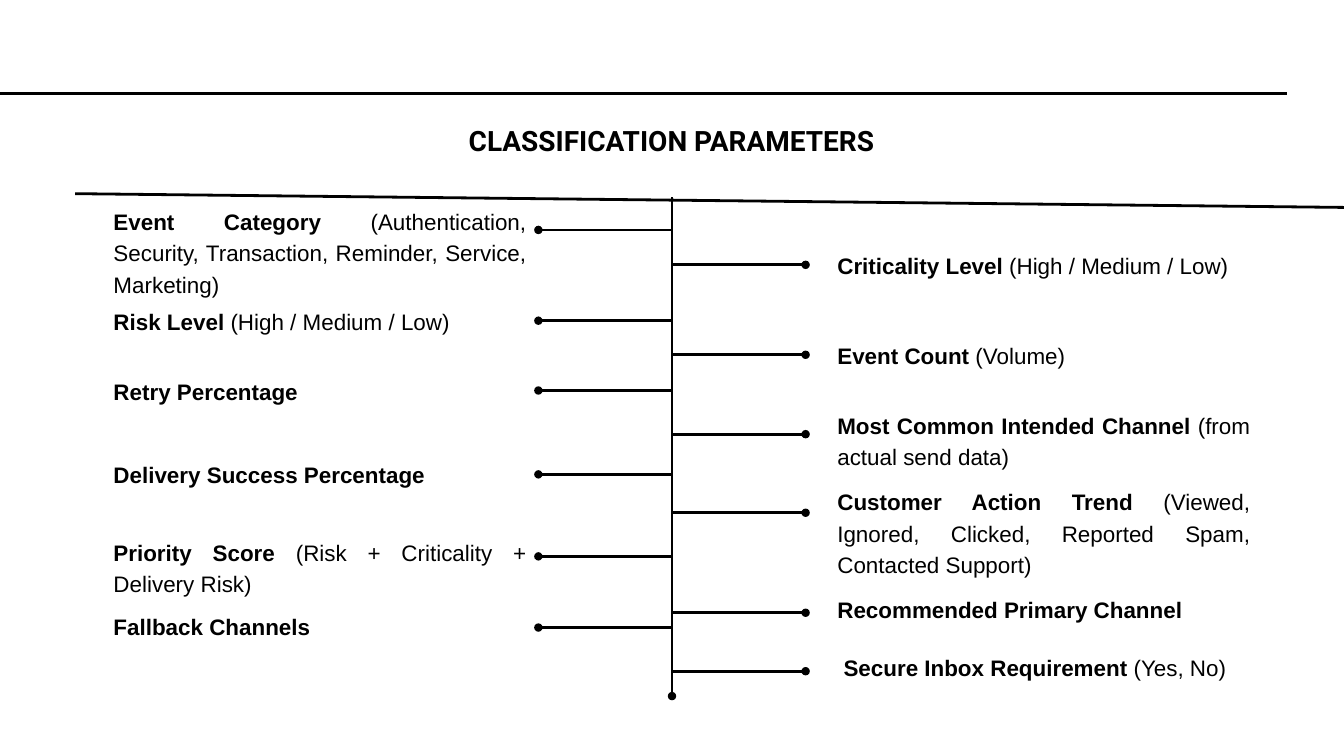
from dataclasses import dataclass

from lxml import etree
from pptx import Presentation
from pptx import util as u
from pptx.dml.color import RGBColor
from pptx.enum import shapes, text
from pptx.oxml.ns import qn

BLACK = RGBColor(0x00, 0x00, 0x00)
WHITE = RGBColor(0xFF, 0xFF, 0xFF)

# Layout in centimetres
SPINE_X = 25.4
BRANCH_REACH = 5.05
LEFT_TEXT_X, RIGHT_TEXT_X = 4.29, 31.65
TEXT_WIDTH, LINE_HEIGHT = 15.6, 1.16


@dataclass
class Parameter:
    text_top: float
    branch_y: float
    name: str
    detail: str = ""
    line_count: int = 1


LEFT_PARAMETERS = [
    Parameter(7.7, 8.69, "Event Category",
              " (Authentication, Security, Transaction, Reminder, Service, Marketing)", 3),
    Parameter(11.46, 12.12, "Risk Level", " (High / Medium / Low)"),
    Parameter(14.12, 14.76, "Retry Percentage"),
    Parameter(17.27, 17.93, "Delivery Success Percentage"),
    Parameter(20.19, 21.03, "Priority Score ", "(Risk + Criticality + Delivery Risk)", 2),
    Parameter(23.01, 23.72, "Fallback Channels"),
]
RIGHT_PARAMETERS = [
    Parameter(9.35, 10.01, "Criticality Level", " (High / Medium / Low)"),
    Parameter(12.75, 13.41, "Event Count", " (Volume)"),
    Parameter(15.39, 16.41, "Most Common Intended Channel", " (from actual send data)", 2),
    Parameter(18.29, 19.38, "Customer Action Trend ",
              "(Viewed, Ignored, Clicked, Reported Spam, Contacted Support)", 3),
    Parameter(22.35, 23.16, "Recommended Primary Channel"),
    Parameter(24.56, 25.37, " Secure Inbox Requirement ", "(Yes, No)"),
]


def add_line(slide, start: tuple[float, float], end: tuple[float, float],
             dot: bool = False) -> None:
    """Draw a line, with a round dot at its start if asked."""
    connector = slide.shapes.add_connector(
        shapes.MSO_CONNECTOR.STRAIGHT, *(u.Cm(value) for value in (*start, *end)))
    connector.line.color.rgb = BLACK
    connector.line.width = u.Pt(3)
    if dot:
        etree.SubElement(connector.line._get_or_add_ln(), qn("a:headEnd"), type="oval")
    etree.SubElement(connector._element.spPr, qn("a:effectLst"))


def prepare_frame(shape) -> None:
    frame = shape.text_frame
    frame.word_wrap = True
    frame.auto_size = text.MSO_AUTO_SIZE.NONE
    frame.vertical_anchor = text.MSO_ANCHOR.TOP
    frame.margin_left = frame.margin_right = frame.margin_top = frame.margin_bottom = 0


def format_paragraph(paragraph, alignment, spacing: float) -> None:
    paragraph.alignment = alignment
    paragraph.line_spacing = u.Pt(spacing)
    paragraph.space_before = u.Pt(0)


def add_run(paragraph, content: str, font: str, size: float, bold: bool) -> None:
    run = paragraph.add_run()
    run.text = content
    run.font.name = font
    run.font.size = u.Pt(size)
    run.font.bold = bold
    run.font.color.rgb = BLACK


def add_title(slide, content: str) -> None:
    title = slide.shapes.title
    title.left, title.top = u.Cm(16.28), u.Cm(4.47)
    title.width, title.height = u.Cm(18.21), u.Cm(2.97)
    prepare_frame(title)
    paragraph = title.text_frame.paragraphs[0]
    format_paragraph(paragraph, text.PP_ALIGN.CENTER, 42)
    add_run(paragraph, content, "Roboto", 30, True)


def add_parameter(slide, parameter: Parameter, text_x: float, dot_x: float) -> None:
    """Draw one branch of the spine and its label."""
    add_line(slide, (dot_x, parameter.branch_y), (SPINE_X, parameter.branch_y), dot=True)
    label = slide.shapes.add_textbox(
        u.Cm(text_x), u.Cm(parameter.text_top),
        u.Cm(TEXT_WIDTH), u.Cm(LINE_HEIGHT * parameter.line_count))
    prepare_frame(label)
    paragraph = label.text_frame.paragraphs[0]
    format_paragraph(paragraph, text.PP_ALIGN.JUSTIFY, 33.6)
    add_run(paragraph, parameter.name, "Arial", 24, True)
    if parameter.detail:
        add_run(paragraph, parameter.detail, "Arial", 24, False)


def main() -> None:
    presentation = Presentation()
    presentation.slide_width = u.Cm(50.8)
    presentation.slide_height = u.Cm(28.575)
    slide = presentation.slides.add_slide(presentation.slide_layouts[5])
    slide.background.fill.solid()
    slide.background.fill.fore_color.rgb = WHITE

    # Title, spine and rules
    add_title(slide, "CLASSIFICATION PARAMETERS")
    add_line(slide, (SPINE_X, 26.31), (SPINE_X, 7.44), dot=True)
    add_line(slide, (-0.91, 3.53), (48.64, 3.53))
    add_line(slide, (2.84, 7.32), (51.74, 7.85))

    # Branches on both sides of the spine
    for parameter in LEFT_PARAMETERS:
        add_parameter(slide, parameter, LEFT_TEXT_X, SPINE_X - BRANCH_REACH)
    for parameter in RIGHT_PARAMETERS:
        add_parameter(slide, parameter, RIGHT_TEXT_X, SPINE_X + BRANCH_REACH)

    presentation.save("out.pptx")


if __name__ == "__main__":
    main()
